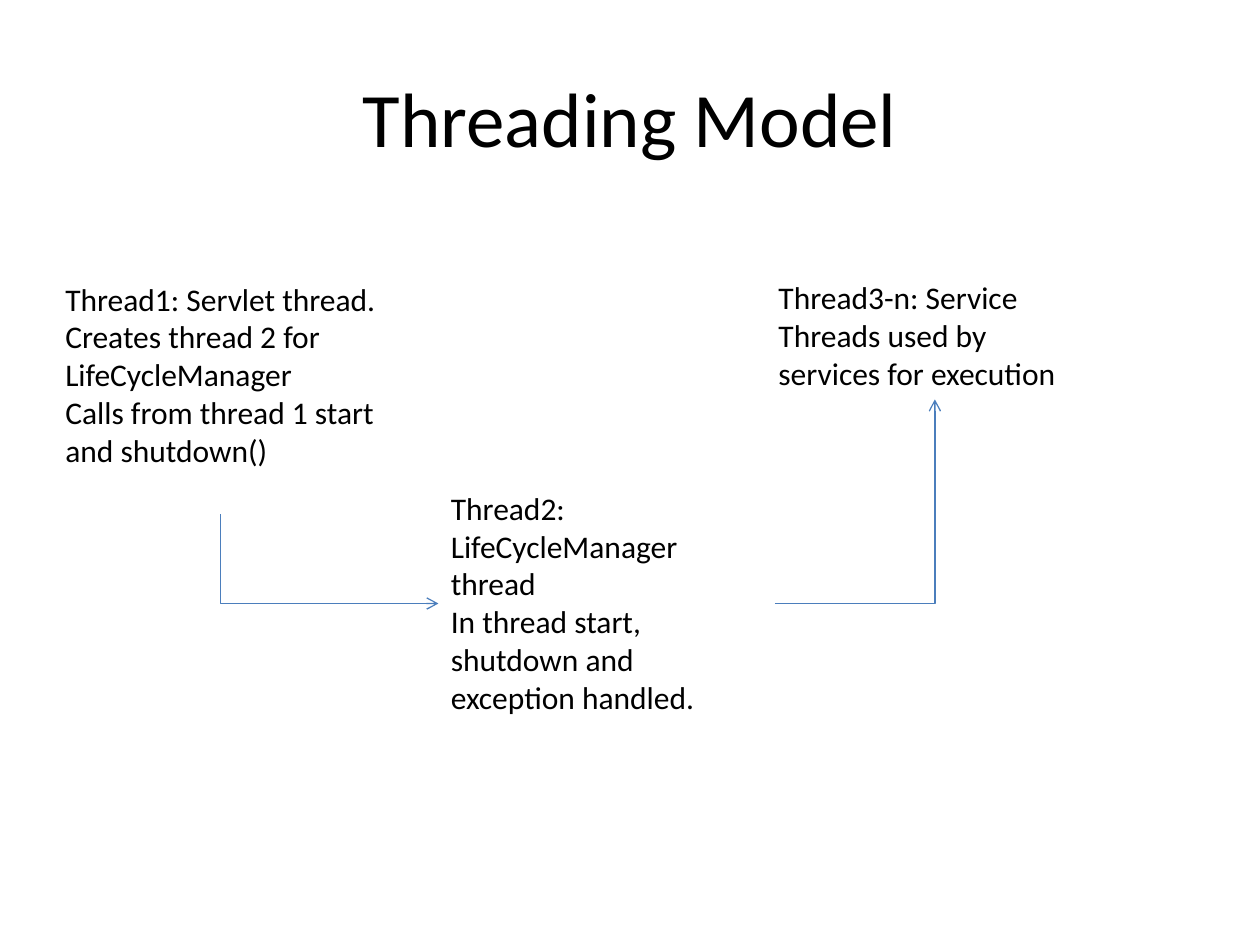
"""Build the Threading Model slide."""
import pptx
import pptx.dml.color
import pptx.enum.shapes
import pptx.enum.text
import pptx.oxml
import pptx.oxml.ns
import pptx.util
from pptx.util import Inches


def color(value):
    return pptx.dml.color.RGBColor.from_string(value)


def add_text(text, left, top, width, height, size):
    box = slide.shapes.add_textbox(Inches(left), Inches(top), Inches(width), Inches(height))
    box.text_frame.word_wrap = True
    box.text_frame.text = text
    paragraph = box.text_frame.paragraphs[0]
    paragraph.font.name = "Calibri"
    paragraph.font.size = pptx.util.Pt(size)
    paragraph.font.color.rgb = color("000000")
    return box.text_frame


deck = pptx.Presentation()
deck.slide_width, deck.slide_height = Inches(10), Inches(7.5)
slide = deck.slides.add_slide(deck.slide_layouts[6])

title = add_text("Threading Model", 0.5, 0.3, 9, 1.25, 44)
title.vertical_anchor = pptx.enum.text.MSO_ANCHOR.MIDDLE
title.paragraphs[0].alignment = pptx.enum.text.PP_ALIGN.CENTER

threads = [
    ("Thread1: Servlet thread.\vCreates thread 2 for LifeCycleManager\v"
     "Calls from thread 1 start and shutdown()", 0.42, 2.17, 1.92),
    ("Thread2: LifeCycleManager thread\v"
     "In thread start, shutdown and exception handled.", 3.48, 3.83, 1.92),
    ("Thread3-n: Service Threads used by services for execution", 6.08, 2.16, 1.01),
]
for text, left, top, height in threads:
    frame = add_text(text, left, top, 2.67, height, 18)
    frame.auto_size = pptx.enum.text.MSO_AUTO_SIZE.SHAPE_TO_FIT_TEXT

handoffs = [
    (2.97, 3.57, 2.26, 5.3, 270),
    (6.15, 4.79, 7.42, 3.17, 0),
]
for start_x, start_y, end_x, end_y, rotation in handoffs:
    arrow = slide.shapes.add_connector(
        pptx.enum.shapes.MSO_CONNECTOR.ELBOW,
        Inches(start_x), Inches(start_y), Inches(end_x), Inches(end_y))
    arrow.line.color.rgb = color("4B7EBC")
    arrow.line.width = pptx.util.Pt(0.75)
    properties = arrow.element.spPr
    properties.find(pptx.oxml.ns.qn("a:prstGeom")).set("prst", "bentConnector2")
    properties.find(pptx.oxml.ns.qn("a:xfrm")).set("rot", str(rotation * 60000))
    head = pptx.oxml.parse_xml(f'<a:tailEnd {pptx.oxml.ns.nsdecls("a")} type="arrow"/>')
    arrow.line._get_or_add_ln().append(head)
    properties.append(pptx.oxml.parse_xml(f'<a:effectLst {pptx.oxml.ns.nsdecls("a")}/>'))

deck.save("out.pptx")
